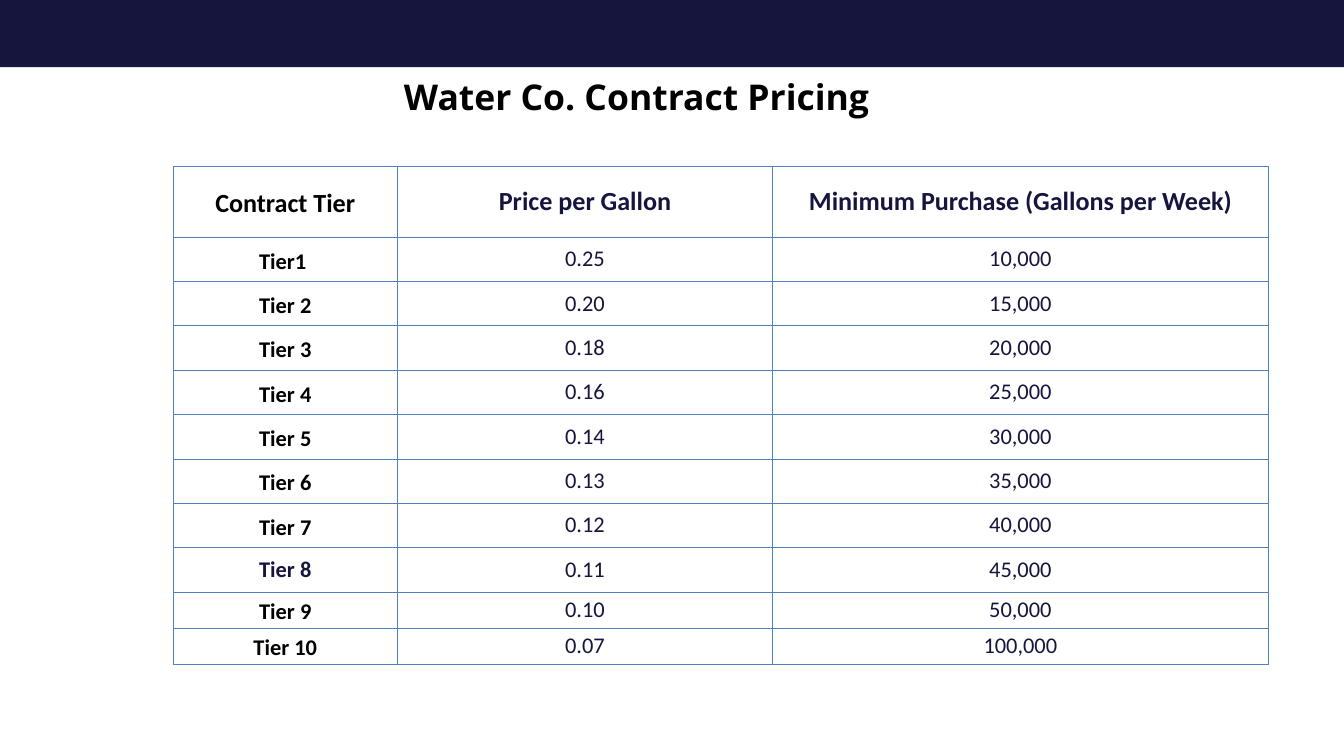
import lxml.etree
import pptx
import pptx.dml.color
import pptx.enum.text
import pptx.oxml.ns
import pptx.util

NAVY = pptx.dml.color.RGBColor(0x15, 0x15, 0x3E)
BLACK = pptx.dml.color.RGBColor(0, 0, 0)
BLUE = pptx.dml.color.RGBColor(0x4F, 0x81, 0xBD)

COLUMNS, ROWS = 20, 11.25
CELL = pptx.util.Inches(1)

HEADERS = ["Contract Tier", "Price per Gallon", "Minimum Purchase (Gallons per Week)"]
TIERS = [
    ("Tier1 ", "0.25", "10,000"),
    ("Tier 2", "0.20", "15,000"),
    ("Tier 3", "0.18", "20,000"),
    ("Tier 4", "0.16", "25,000"),
    ("Tier 5", "0.14", "30,000"),
    ("Tier 6", "0.13", "35,000"),
    ("Tier 7", "0.12", "40,000"),
    ("Tier 8", "0.11", "45,000"),
    ("Tier 9", "0.10", "50,000"),
    ("Tier 10", "0.07", "100,000"),
]
NAVY_TIER = "Tier 8"


def grid(*values):
    """Turn grid columns or rows into slide lengths."""
    return [round(value * CELL) for value in values]


def bezier(p0, p1, p2, p3, steps=32):
    """Points along a cubic curve, without its start."""
    return [
        tuple(
            (1 - t) ** 3 * a + 3 * (1 - t) ** 2 * t * b + 3 * (1 - t) * t**2 * c + t**3 * d
            for a, b, c, d in zip(p0, p1, p2, p3)
        )
        for t in (i / steps for i in range(1, steps + 1))
    ]


class PricingSlide:
    def __init__(self, slide):
        self.slide = slide
        self.title_font, self.table_font = "Open Sans", "Calibri"

    def format_text(self, tf, font, size, color, bold, leading=1.2):
        """Centre the text; leading is the line pitch in multiples of the size."""
        p = tf.paragraphs[0]
        p.alignment = pptx.enum.text.PP_ALIGN.CENTER
        p.line_spacing = pptx.util.Pt(size * leading)
        r = p.runs[0]
        r.font.name = font
        r.font.size = pptx.util.Pt(size)
        r.font.bold = bold
        r.font.color.rgb = color

    def band(self, height, curve_start):
        """Top band whose lower right corner is rounded off."""
        curve = bezier((curve_start, height), (19.27, 0.73), (19.76, 0.43), (COLUMNS, 0))
        builder = self.slide.shapes.build_freeform(0, 0, scale=CELL)
        builder.add_line_segments([(0, height), (curve_start, height), *curve], close=True)
        sp = builder.convert_to_shape()
        sp.shadow.inherit = False
        sp.fill.solid()
        sp.fill.fore_color.rgb = NAVY
        sp.line.fill.background()

    def title(self, text, left, top, width, height):
        tf = self.slide.shapes.add_textbox(*grid(left, top, width, height)).text_frame
        tf.word_wrap = True
        tf.auto_size = pptx.enum.text.MSO_AUTO_SIZE.SHAPE_TO_FIT_TEXT
        tf.margin_left = tf.margin_top = tf.margin_right = tf.margin_bottom = 0
        tf.text = text
        self.format_text(tf, self.title_font, 38, BLACK, True)

    def border(self, cell, width=1):
        properties = cell._tc.get_or_add_tcPr()
        qn = pptx.oxml.ns.qn
        for side in ("lnL", "lnR", "lnT", "lnB"):
            line = lxml.etree.SubElement(
                properties, qn(f"a:{side}"), w=str(int(pptx.util.Pt(width)))
            )
            fill = lxml.etree.SubElement(line, qn("a:solidFill"))
            lxml.etree.SubElement(fill, qn("a:srgbClr"), val=str(BLUE))

    def cell(self, cell, text, size, color, bold, leading):
        cell.text = text
        cell.margin_left = cell.margin_top = cell.margin_right = cell.margin_bottom = 0
        cell.vertical_anchor = pptx.enum.text.MSO_ANCHOR.MIDDLE
        self.border(cell)
        cell.fill.background()
        self.format_text(cell.text_frame, self.table_font, size, color, bold, leading)

    def table(self, records, left, top, widths, heights):
        table = self.slide.shapes.add_table(
            len(records), len(widths), *grid(left, top, sum(widths), sum(heights))
        ).table
        table.first_row = table.horz_banding = False
        for column, width in zip(table.columns, grid(*widths)):
            column.width = width
        for row, height in zip(table.rows, grid(*heights)):
            row.height = height
        for i, record in enumerate(records):
            for j, text in enumerate(record):
                black = j == 0 and text != NAVY_TIER
                self.cell(
                    table.cell(i, j),
                    text,
                    size=28 if i == 0 else 24,
                    color=BLACK if black else NAVY,
                    bold=i == 0 or j == 0,
                    leading=1.4 if black else 1.2,
                )


def main():
    prs = pptx.Presentation()
    prs.slide_width, prs.slide_height = grid(COLUMNS, ROWS)
    s = PricingSlide(prs.slides.add_slide(prs.slide_layouts[6]))
    s.band(height=0.75, curve_start=18.71)
    s.title("Water Co. Contract Pricing", 5.9, 1.11, 7.15, 0.64)
    s.table(
        [HEADERS, *TIERS],
        left=2.58,
        top=2.47,
        widths=[3.33, 5.59, 7.37],
        heights=[1.06] + [0.66] * 8 + [0.54] * 2,
    )
    prs.save("out.pptx")


if __name__ == "__main__":
    main()
